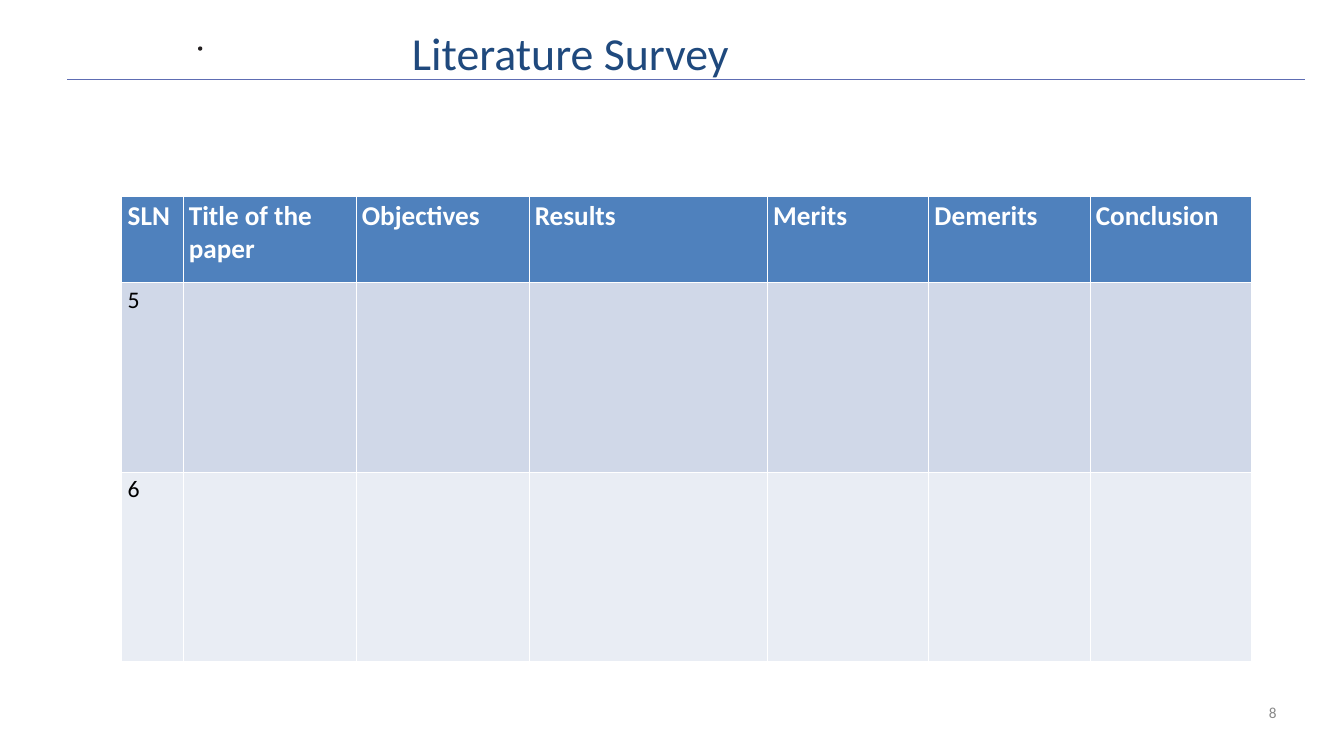
"""Build the literature survey slide with its table of papers."""
import pptx
import pptx.dml.color
import pptx.enum.shapes
import pptx.enum.text
import pptx.oxml
import pptx.oxml.ns
import pptx.util
from pptx.util import Inches

HEADINGS = ["SLN", "Title of the paper", "Objectives", "Results", "Merits", "Demerits", "Conclusion"]
COLUMN_WIDTHS = [1, 2.83, 2.83, 3.9, 2.64, 2.64, 2.64]
ROW_HEIGHTS = [1.41, 3.1, 3.1]
ROW_FILLS = ["4F81BD", "D0D8E8", "E9EDF4"]
THIN, THICK = 0.45, 1.47


def paint(color_format, color):
    color_format.rgb = pptx.dml.color.RGBColor.from_string(color)


def fill_solid(item, color):
    item.fill.solid()
    paint(item.fill.fore_color, color)


def write_text(frame, text, size, color, bold=False, align=pptx.enum.text.PP_ALIGN.LEFT):
    paragraph = frame.paragraphs[0]
    paragraph.alignment = align
    run = paragraph.add_run()
    run.text = text
    run.font.name = "Calibri"
    run.font.size = pptx.util.Pt(size)
    run.font.bold = bold
    paint(run.font.color, color)


def set_frame(frame, top_margin=0):
    frame.word_wrap = True
    frame.auto_size = pptx.enum.text.MSO_AUTO_SIZE.NONE
    frame.vertical_anchor = pptx.enum.text.MSO_ANCHOR.TOP
    frame.margin_left = frame.margin_right = frame.margin_bottom = 0
    frame.margin_top = Inches(top_margin)


def add_title(slide, text):
    title = slide.shapes.title
    title.left, title.top = Inches(6.74), Inches(0.39)
    title.width, title.height = Inches(7.85), Inches(1.81)
    set_frame(title.text_frame, top_margin=0.01)
    write_text(title.text_frame, text, size=54, color="1F497D")


def add_mark(slide):
    mark = slide.shapes.add_shape(
        pptx.enum.shapes.MSO_SHAPE.OVAL, Inches(3.24), Inches(0.76), Inches(0.07), Inches(0.07))
    mark.shadow.inherit = False
    fill_solid(mark, "231F20")
    mark.line.fill.background()


def add_rule(slide):
    rule = slide.shapes.add_connector(
        pptx.enum.shapes.MSO_CONNECTOR.STRAIGHT, Inches(1.1), Inches(1.3), Inches(21.36), Inches(1.3))
    paint(rule.line.color, "5E6DB3")
    rule.line.width = pptx.util.Pt(1.25)
    rule._element.spPr.append(
        pptx.oxml.parse_xml(f"<a:effectLst {pptx.oxml.ns.nsdecls('a')}/>"))


def add_page_number(slide, number):
    box = slide.shapes.add_textbox(Inches(15.83), Inches(11.5), Inches(5.06), Inches(0.31))
    set_frame(box.text_frame)
    write_text(box.text_frame, number, size=18, color="898989", align=pptx.enum.text.PP_ALIGN.RIGHT)


def set_borders(cell, top, bottom):
    properties = cell._tc.get_or_add_tcPr()
    for side, points in (("L", THIN), ("R", THIN), ("T", top), ("B", bottom)):
        properties.append(pptx.oxml.parse_xml(
            f'<a:ln{side} {pptx.oxml.ns.nsdecls("a")} w="{pptx.util.Pt(points)}">'
            f'<a:solidFill><a:srgbClr val="FFFFFF"/></a:solidFill></a:ln{side}>'))


def add_survey_table(slide, paper_numbers):
    table = slide.shapes.add_table(
        len(ROW_HEIGHTS), len(COLUMN_WIDTHS), Inches(1.99), Inches(3.21),
        Inches(sum(COLUMN_WIDTHS)), Inches(sum(ROW_HEIGHTS))).table
    table.horz_banding = False
    for column, width in zip(table.columns, COLUMN_WIDTHS):
        column.width = Inches(width)
    for index, (row, height, fill) in enumerate(zip(table.rows, ROW_HEIGHTS, ROW_FILLS)):
        row.height = Inches(height)
        for cell in row.cells:
            set_borders(cell, top=THICK if index == 1 else THIN, bottom=THICK if index == 0 else THIN)
            fill_solid(cell, fill)
    for column, heading in enumerate(HEADINGS):
        write_text(table.cell(0, column).text_frame, heading, size=32, color="FFFFFF", bold=True)
    for row, number in enumerate(paper_numbers, start=1):
        write_text(table.cell(row, 0).text_frame, number, size=28, color="000000")


def main():
    presentation = pptx.Presentation()
    presentation.slide_width, presentation.slide_height = Inches(21.99), Inches(12.37)
    slide = presentation.slides.add_slide(presentation.slide_layouts.get_by_name("Title Only"))
    add_mark(slide)
    add_title(slide, "Literature Survey")
    add_rule(slide)
    add_page_number(slide, "8")
    add_survey_table(slide, ["5", "6"])
    presentation.save("out.pptx")


if __name__ == "__main__":
    main()
